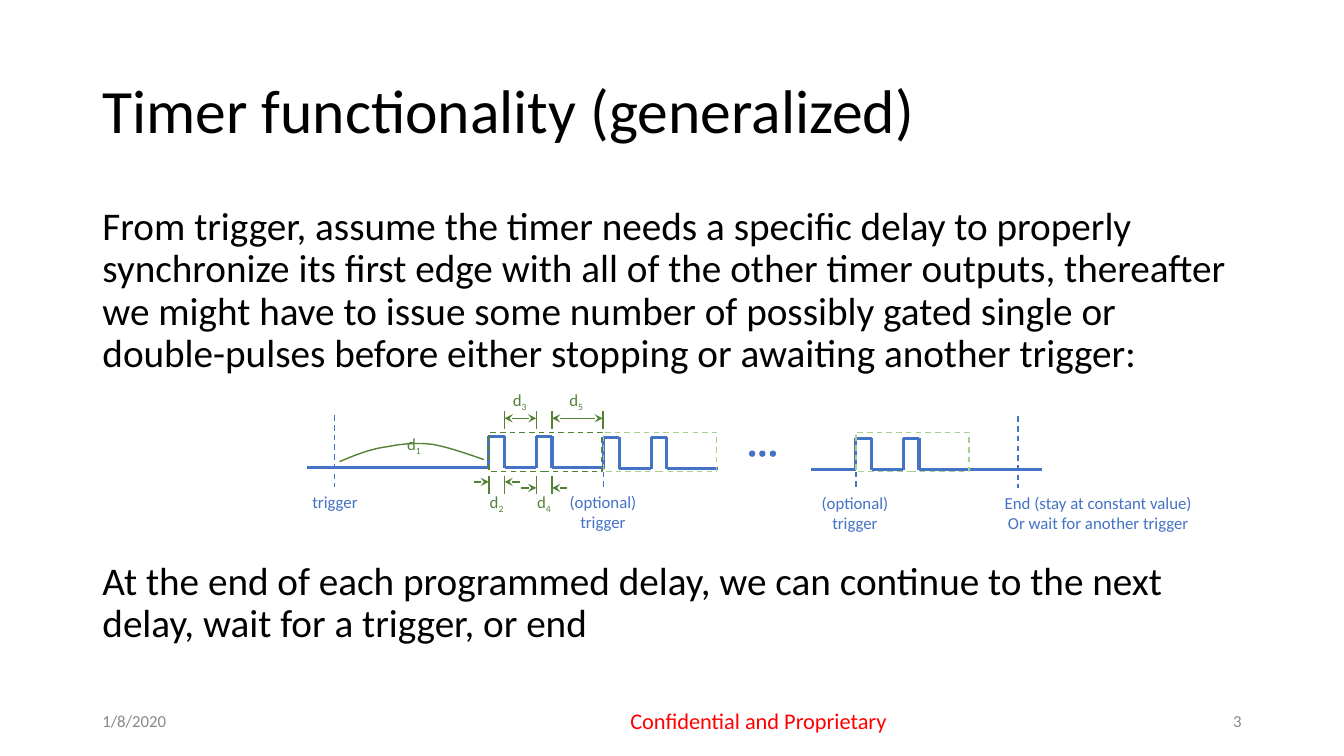
"""Build the slide on generalized timer functionality."""
import pptx
import pptx.util
import pptx.dml.color
import pptx.enum.dml
import pptx.enum.shapes
import pptx.enum.text
import pptx.oxml
import pptx.oxml.ns
import lxml.etree

Pt = pptx.util.Pt
RGB = pptx.dml.color.RGBColor
Align = pptx.enum.text.PP_ALIGN
Anchor = pptx.enum.text.MSO_ANCHOR
Kind = pptx.enum.shapes.MSO_SHAPE
qn = pptx.oxml.ns.qn

BLUE = RGB(0x44, 0x72, 0xC4)
GREEN = RGB(0x54, 0x81, 0x35)
PALE = RGB(0xA8, 0xD0, 0x8C)
BLACK = RGB(0, 0, 0)
GRAY = RGB(0x88, 0x88, 0x88)
RED = RGB(0xFF, 0, 0)
FONT = "Calibri"

TITLE = "Timer functionality (generalized)"
INTRO = ("From trigger, assume the timer needs a specific delay to properly "
         "synchronize its first edge with all of the other timer outputs, "
         "thereafter we might have to issue some number of possibly gated "
         "single or double-pulses before either stopping or awaiting another "
         "trigger:")
CLOSE = ("At the end of each programmed delay, we can continue to the next "
         "delay, wait for a trigger, or end")
FOOT = [("1/8/2020", 66, 216, 12, GRAY, Align.LEFT),
        ("Confidential and Proprietary", 442, 199.6, 16, RED, Align.CENTER),
        ("3", 678, 216, 12, GRAY, Align.RIGHT)]
NOTES = [(["trigger"], 216, 347.8, 46.8),
         (["(optional)", "trigger"], 399.8, 347.8, 62.6),
         (["(optional)", "trigger"], 579.8, 348.2, 62.6),
         (["End (stay at constant value)", "Or wait for another trigger"],
          710.6, 348.4, 149.8)]
DELAYS = [("1", 283.7, 306), ("2", 342.7, 347.8), ("3", 359.3, 275),
          ("4", 376.6, 347.8), ("5", 399.6, 275)]

EDGES = (0, 11.2, 33.9, 45.1, 81.4)
HIGH = 22.3
TRAINS = [(349.2, 334.1, GREEN), (431.2, 334.8, PALE), (611.4, 335.5, PALE)]
FLATS = [(219.6, 349.2, 334.1), (579.6, 611.4, 335.5), (692.8, 744.5, 335.5)]
DASHES = [(239, 296.6, 347.8), (431.2, 337, 347.8),
          (611.4, 337, 347.8), (727.2, 297.4, 348.5)]
DOTS = (535, 542.3, 549.8)
ARC = [((242.6, 329.8), (254.2, 324.7), (265.7, 320.4), (277.2, 319)),
       ((277.2, 319), (288, 316.8), (298.8, 316.1), (309.6, 317.5)),
       ((309.6, 317.5), (321.1, 319.7), (333.4, 324), (345.6, 328.3))]

deck = pptx.Presentation()
deck.slide_width, deck.slide_height = Pt(960), Pt(540)
slide = deck.slides.add_slide(deck.slide_layouts[1])
shapes = slide.shapes


def place(shape, left, top, width, height):
    shape.left, shape.top = Pt(left), Pt(top)
    shape.width, shape.height = Pt(width), Pt(height)


def write(para, text, size, color):
    run = para.add_run()
    run.text = text
    run.font.name, run.font.size = FONT, Pt(size)
    run.font.color.rgb = color
    return run


def box(left, top, width, height, wrap=False):
    frame = shapes.add_textbox(Pt(left), Pt(top), Pt(width), Pt(height)).text_frame
    frame.word_wrap = wrap
    return frame


def wire(x1, y1, x2, y2, color=BLUE, width=2.25, dash=False, ends=()):
    link = shapes.add_connector(pptx.enum.shapes.MSO_CONNECTOR.STRAIGHT,
                                Pt(x1), Pt(y1), Pt(x2), Pt(y2))
    link.line.color.rgb, link.line.width = color, Pt(width)
    if dash:
        link.line.dash_style = pptx.enum.dml.MSO_LINE.DASH
    outline = link.line._get_or_add_ln()
    for end in ends:
        lxml.etree.SubElement(outline, qn("a:" + end)).set("type", "stealth")
    lxml.etree.SubElement(link._element.spPr, qn("a:effectLst"))


def curve(a, b, c, d, steps=12):
    for step in range(steps + 1):
        t = step / steps
        s = 1 - t
        yield tuple(Pt(s**3 * p + 3 * s * s * t * q + 3 * s * t * t * r + t**3 * u)
                    for p, q, r, u in zip(a, b, c, d))


title, body = slide.placeholders
for holder, spot in ((title, (66, 28.8, 828, 104.4)), (body, (66, 144, 828, 342.7))):
    place(holder, *spot)
    holder.text_frame.auto_size = pptx.enum.text.MSO_AUTO_SIZE.NONE
title.text_frame.vertical_anchor = Anchor.MIDDLE
head = title.text_frame.paragraphs[0]
write(head, TITLE, 44, BLACK)
intro = body.text_frame.paragraphs[0]
close = body.text_frame.add_paragraph()
for para, text, gap in ((intro, INTRO, 0), (close, CLOSE, 132.3)):
    write(para, text, 28, BLACK)
    para.space_before = Pt(gap)
    props = para._p.get_or_add_pPr()
    props.set("marL", "0")
    props.set("indent", "0")
    lxml.etree.SubElement(props, qn("a:buNone"))
for para in (head, intro, close):
    para.alignment = Align.LEFT
    para.line_spacing = 0.9

for text, left, width, size, color, align in FOOT:
    frame = box(left, 500.5, width, 28.8, True)
    frame.vertical_anchor = Anchor.MIDDLE
    frame.paragraphs[0].alignment = align
    write(frame.paragraphs[0], text, size, color)

for x1, x2, y in FLATS:
    wire(x1, y, x2, y)
for left, base, color in TRAINS:
    rise, fall, again, drop, stop = (left + edge for edge in EDGES)
    top = base - HIGH
    for up, down, last in ((rise, fall, again), (again, drop, stop)):
        wire(up, top, down, top)
        wire(up, top, up, base)
        wire(down, top, down, base)
        wire(down, base, last, base)
    gate = shapes.add_shape(Kind.RECTANGLE, Pt(left), Pt(308.9), Pt(80.8), Pt(28.1))
    gate.shadow.inherit = False
    gate.fill.background()
    gate.line.color.rgb, gate.line.width = color, Pt(1)
    gate.line.dash_style = pptx.enum.dml.MSO_LINE.DASH
for x, y1, y2 in DASHES:
    wire(x, y1, x, y2, BLUE, 1, True)

marks = [TRAINS[0][0] + edge for edge in EDGES]
for x in marks[:4]:
    wire(x, 352.8, x, 339.8, GREEN, 1)
for x in marks[1:]:
    wire(x, 306.6, x, 293.6, GREEN, 1)
for first, y in ((0, 344.2), (2, 348.5)):
    for x, away in ((marks[first], -10.8), (marks[first + 1], 10.8)):
        wire(x + away, y, x, y, GREEN, 1, ends=("tailEnd",))
for first in (1, 3):
    wire(marks[first], 298.8, marks[first + 1], 298.8, GREEN, 1,
         ends=("headEnd", "tailEnd"))

points = [point for part in ARC for point in curve(*part)]
pen = shapes.build_freeform(*points[0])
pen.add_line_segments(points[1:], close=False)
arc = pen.convert_to_shape()
arc.shadow.inherit = False
arc.fill.background()
arc.line.color.rgb, arc.line.width = GREEN, Pt(1)

for x in DOTS:
    dot = shapes.add_shape(Kind.OVAL, Pt(x), Pt(321.8), Pt(4.5), Pt(4.5))
    dot.shadow.inherit = False
    dot.fill.solid()
    dot.fill.fore_color.rgb = BLUE
    dot.line.fill.background()

for digit, left, top in DELAYS:
    para = box(left, top, 25.2, 21.8).paragraphs[0]
    write(para, "d", 12, GREEN)
    sub = write(para, digit, 12, GREEN)
    sub._r.get_or_add_rPr().set("baseline", "-25000")
for lines, left, top, width in NOTES:
    frame = box(left, top, width, 7.2 + 14.6 * len(lines))
    write(frame.paragraphs[0], lines[0], 12, BLUE)
    for line in lines[1:]:
        para = frame.add_paragraph()
        para.alignment = Align.CENTER
        write(para, line, 12, BLUE)

deck.save("out.pptx")
